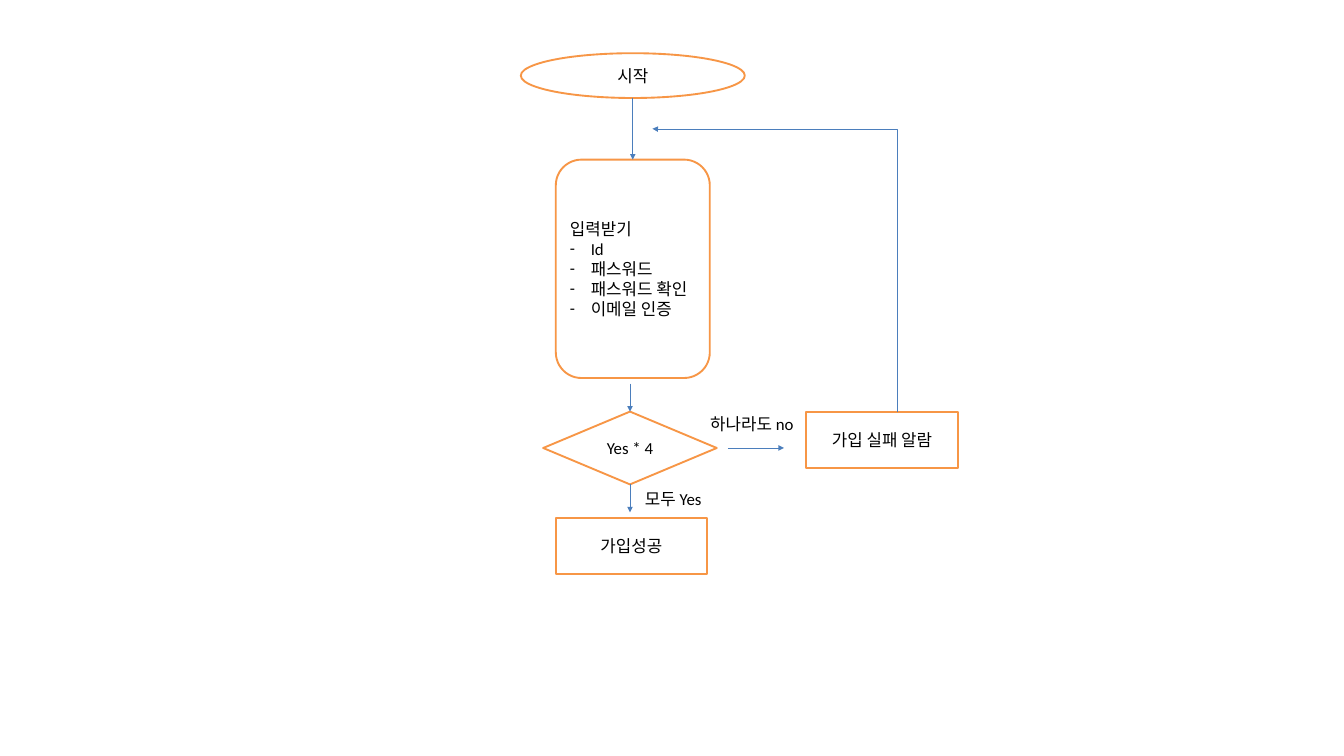
from lxml import etree
from pptx import Presentation, util as u
from pptx.dml.color import RGBColor
from pptx.enum import shapes as s, text as t
from pptx.oxml.ns import qn

COLS, ROWS = 480, 270
WIDE, HIGH = u.Inches(20), u.Inches(11.25)
ORANGE, BLUE, BLACK, WHITE = "F79646", "4B7EBC", "000000", "FFFFFF"


def grid(col, row):
    """Turn a column and a row of the grid into slide lengths."""
    return round(WIDE * col / COLS), round(HIGH * row / ROWS)


def paint(part, hue):
    """Give a fill or a font one solid colour."""
    fill = part.fill if hasattr(part, "fill") else part
    fill.solid()
    fill.fore_color.rgb = RGBColor.from_string(hue)


def dash(para):
    """Give a paragraph a hanging dash bullet."""
    props = para._p.get_or_add_pPr()
    props.set("marL", str(u.Inches(0.31)))
    props.set("indent", str(-u.Inches(0.31)))
    etree.SubElement(props, qn("a:buFont"), typeface="Calibri")
    etree.SubElement(props, qn("a:buChar"), char="-")


def write(frame, lines, size=18, font="Calibri", hue=BLACK,
          align=t.PP_ALIGN.LEFT, anchor=t.MSO_ANCHOR.TOP):
    """Write lines into a frame, with a dash before all but the first."""
    frame.word_wrap = True
    frame.vertical_anchor = anchor
    for i, line in enumerate(lines):
        para = frame.add_paragraph() if i else frame.paragraphs[0]
        para.alignment = align
        if i:
            dash(para)
        run = para.add_run()
        run.text = line
        run.font.size, run.font.name = u.Pt(size), font
        paint(run.font, hue)


def node(slide, kind, area, *lines, align=t.PP_ALIGN.CENTER):
    """Draw one outlined step of the flow."""
    box = slide.shapes.add_shape(kind, *grid(*area[:2]), *grid(*area[2:]))
    box.shadow.inherit = False
    paint(box, WHITE)
    paint(box.line, ORANGE)
    box.line.width = u.Pt(2)
    write(box.text_frame, lines, align=align, anchor=t.MSO_ANCHOR.MIDDLE)
    return box


def label(slide, col, row, words):
    """Place the condition beside a branch."""
    box = slide.shapes.add_textbox(*grid(col, row), *grid(38, 9.6))
    write(box.text_frame, [words])
    box.text_frame.auto_size = t.MSO_AUTO_SIZE.SHAPE_TO_FIT_TEXT


def arrow(slide, start, end, kind=s.MSO_CONNECTOR.STRAIGHT):
    """Draw a thin connector with a head at its end."""
    link = slide.shapes.add_connector(kind, *grid(*start), *grid(*end))
    paint(link.line, BLUE)
    link.line.width = u.Pt(0.75)
    etree.SubElement(link.line._get_or_add_ln(), qn("a:tailEnd"), type="triangle")
    etree.SubElement(link._element.spPr, qn("a:effectLst"))
    return link


def loop(slide, start, end):
    """Draw an elbow arrow that goes up first and then left."""
    mid, row = (start[0] + end[0]) / 2, (start[1] + end[1]) / 2
    half, rise = (start[0] - end[0]) / 2, (start[1] - end[1]) / 2
    link = arrow(slide, (mid - rise, row + half), (mid + rise, row - half),
                 s.MSO_CONNECTOR.ELBOW)
    props = link._element.spPr
    props.find(qn("a:xfrm")).set("rot", str(270 * 60000))
    geom = props.find(qn("a:prstGeom"))
    adjust = geom.find(qn("a:avLst"))
    if adjust is None:
        adjust = etree.SubElement(geom, qn("a:avLst"))
    etree.SubElement(adjust, qn("a:gd"), name="adj1", fmla="val 99900")


def main():
    """Build the sign-up flow chart."""
    deck = Presentation()
    deck.slide_width, deck.slide_height = WIDE, HIGH
    slide = deck.slides.add_slide(deck.slide_layouts[6])
    kind = s.MSO_SHAPE

    node(slide, kind.OVAL, (186, 19, 80, 16), "시작")
    form = node(slide, kind.ROUNDED_RECTANGLE, (198.5, 57, 55, 78),
                "입력받기", "Id", "패스워드", "패스워드 확인", "이메일 인증",
                align=t.PP_ALIGN.LEFT)
    check = node(slide, kind.DIAMOND, (194, 147, 62, 26), "Yes * 4")
    node(slide, kind.RECTANGLE, (288, 147, 54, 20), "가입 실패 알람")
    node(slide, kind.RECTANGLE, (198.5, 185, 54, 20), "가입성공")

    arrow(slide, (226, 35), (226, 57)).end_connect(form, 0)
    arrow(slide, (225, 137), (225, 147)).end_connect(check, 0)
    arrow(slide, (225, 173), (225, 183)).begin_connect(check, 2)
    label(slide, 228, 173.3, "모두 Yes")
    arrow(slide, (260, 160), (280, 160))
    label(slide, 251.3, 146.6, "하나라도 no")
    loop(slide, (320.5, 147), (233, 46))
    deck.save("out.pptx")


if __name__ == "__main__":
    main()
